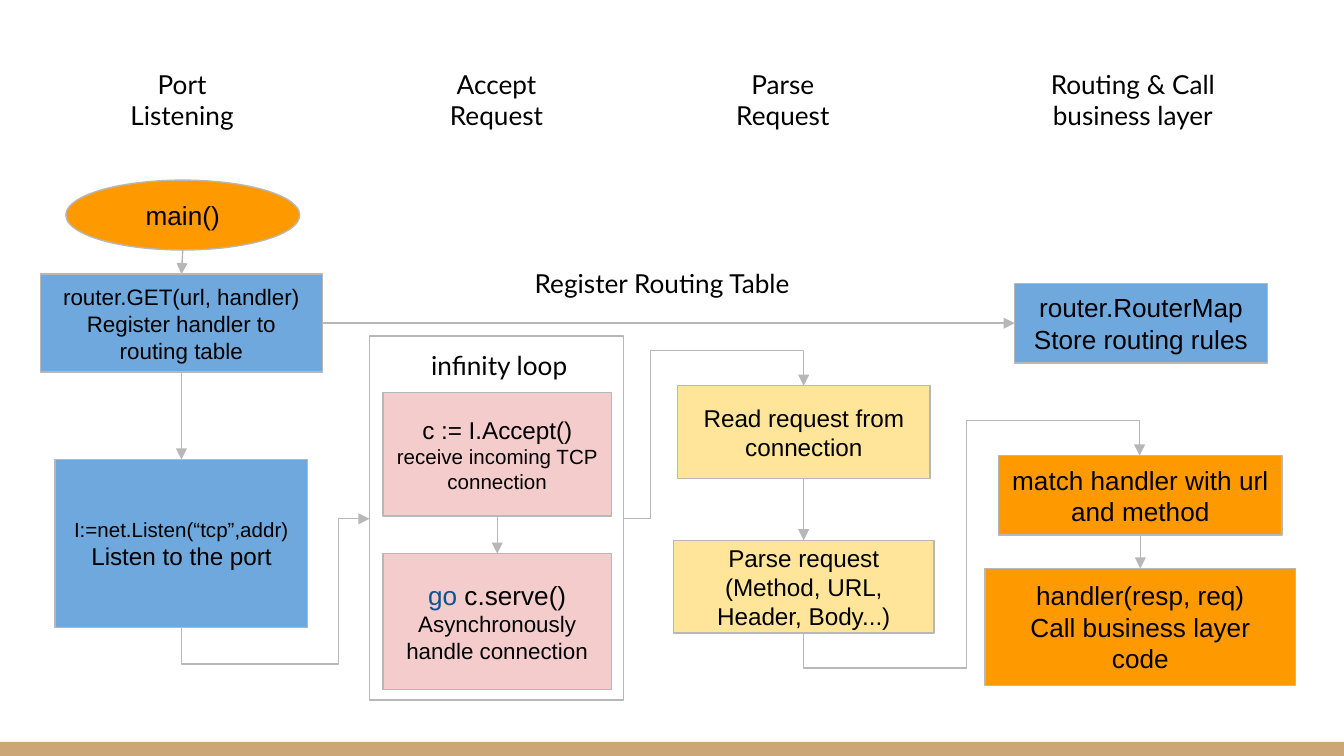
import pptx
import pptx.util
import pptx.dml.color
import pptx.enum.shapes
import pptx.enum.text
import pptx.oxml
import pptx.oxml.ns

Inches = pptx.util.Inches
Pt = pptx.util.Pt
SHAPE = pptx.enum.shapes.MSO_SHAPE
CONNECTOR = pptx.enum.shapes.MSO_CONNECTOR
ALIGN = pptx.enum.text.PP_ALIGN
ANCHOR = pptx.enum.text.MSO_ANCHOR

COLORS = {
    "line": "B7B7B7", "text": "000000", "keyword": "0B5394", "footer": "CCA677",
    "orange": "FF9900", "blue": "6FA8DC", "pink": "F4CCCC", "yellow": "FFE599",
}
TOP, LEFT, BOTTOM, RIGHT = range(4)


def rgb(name):
    return pptx.dml.color.RGBColor.from_string(COLORS[name])


def write(shape, paragraphs, font="Arial", align=ALIGN.CENTER):
    """Fill a shape; each paragraph is a list of (text, size, color) runs."""
    frame = shape.text_frame
    frame.word_wrap = True
    frame.margin_left = frame.margin_right = Inches(0.1)
    frame.margin_top = frame.margin_bottom = Inches(0.1)
    for index, runs in enumerate(paragraphs):
        paragraph = frame.paragraphs[0] if index == 0 else frame.add_paragraph()
        paragraph.alignment = align
        for text, size, color in runs:
            run = paragraph.add_run()
            run.text = text
            run.font.name = font
            run.font.size = Pt(size)
            run.font.color.rgb = rgb(color)


def line(text, size):
    return [(text, size, "text")]


def add_label(slide, left, top, width, height, *texts, align=ALIGN.CENTER):
    label = slide.shapes.add_textbox(*map(Inches, (left, top, width, height)))
    write(label, [line(text, 14) for text in texts], "Lato", align)
    label.text_frame.auto_size = pptx.enum.text.MSO_AUTO_SIZE.SHAPE_TO_FIT_TEXT


def add_step(slide, box, fill, *paragraphs, kind=SHAPE.RECTANGLE, outlined=True):
    step = slide.shapes.add_shape(kind, *map(Inches, box))
    step.shadow.inherit = False
    if fill:
        step.fill.solid()
        step.fill.fore_color.rgb = rgb(fill)
    else:
        step.fill.background()
    if outlined:
        step.line.color.rgb = rgb("line")
        step.line.width = Pt(0.75)
    else:
        step.line.fill.background()
    if paragraphs:
        write(step, paragraphs)
        step.text_frame.vertical_anchor = ANCHOR.MIDDLE
    return step


def add_arrow(slide, start, end, kind=CONNECTOR.STRAIGHT):
    arrow = slide.shapes.add_connector(kind, *map(Inches, (*start, *end)))
    arrow.line.color.rgb = rgb("line")
    arrow.line.width = Pt(0.75)
    tail = pptx.oxml.parse_xml(
        '<a:tailEnd %s type="triangle"/>' % pptx.oxml.ns.nsdecls("a"))
    arrow.line._get_or_add_ln().append(tail)
    effects = pptx.oxml.parse_xml('<a:effectLst %s/>' % pptx.oxml.ns.nsdecls("a"))
    arrow._element.spPr.append(effects)
    return arrow


def link(slide, source, target, source_side=BOTTOM, target_side=TOP):
    arrow = add_arrow(slide, (0, 0), (1, 1))
    arrow.begin_connect(source, source_side)
    arrow.end_connect(target, target_side)


def add_elbow(slide, start, end, lanes, leaves_down):
    """Bent arrow rising to the right; lanes are alternating y and x positions."""
    (x0, y0), (x1, y1) = start, end
    width, height = x1 - x0, y0 - y1
    elbow = add_arrow(slide, start, end, CONNECTOR.ELBOW)
    if leaves_down:
        xfrm = elbow._element.spPr.find(pptx.oxml.ns.qn("a:xfrm"))
        xfrm.attrib.pop("flipV")
        elbow.left = Inches((x0 + x1 - height) / 2)
        elbow.top = Inches((y0 + y1 - width) / 2)
        elbow.width, elbow.height = Inches(height), Inches(width)
        xfrm.set("rot", str(270 * 60000))
    geometry = elbow._element.spPr.find(pptx.oxml.ns.qn("a:prstGeom"))
    geometry.set("prst", "bentConnector%d" % (len(lanes) + 2))
    for child in list(geometry):
        geometry.remove(child)
    guides = ""
    for index, lane in enumerate(lanes):
        is_y = (index % 2 == 0) == leaves_down
        share = (y0 - lane) / height if is_y else (lane - x0) / width
        guides += '<a:gd name="adj%d" fmla="val %d"/>' % (index + 1, round(share * 100000))
    geometry.append(pptx.oxml.parse_xml(
        "<a:avLst %s>%s</a:avLst>" % (pptx.oxml.ns.nsdecls("a"), guides)))


def listening_column(slide, left, top):
    add_label(slide, left + 0.52, top, 1.07, 0.67, "Port", "Listening")
    add_step(slide, (left + 0.19, top + 0.93, 1.74, 0.52), "orange",
             line("main()", 14), kind=SHAPE.OVAL)
    register = add_step(slide, (left, top + 1.63, 2.1, 0.73), "blue",
                        line("router.GET(url, handler)", 12),
                        line("Register handler to routing table", 12))
    listen = add_step(slide, (left + 0.11, top + 3.01, 1.88, 1.25), "blue",
                      line("I:=net.Listen(“tcp”,addr)", 11),
                      line("Listen to the port", 13))
    start = add_arrow(slide, (left + 1.06, top + 1.45), (left + 1.05, top + 1.63))
    start.end_connect(register, TOP)
    link(slide, register, listen)
    return register


def accept_column(slide, left, top):
    add_label(slide, left + 0.41, top, 1.07, 0.67, "Accept Request")
    add_step(slide, (left, top + 2.09, 1.89, 2.71), None)
    add_label(slide, left + 0.36, top + 2.09, 1.25, 0.44, "infinity loop", align=ALIGN.LEFT)
    accept = add_step(slide, (left + 0.1, top + 2.51, 1.7, 0.92), "pink",
                      line("c := I.Accept()", 13),
                      line("receive incoming TCP connection", 11))
    serve = add_step(slide, (left + 0.1, top + 3.71, 1.7, 1.01), "pink",
                     [("go", 14, "keyword"), (" c.serve()", 14, "text")],
                     line("Asynchronously handle connection", 12))
    link(slide, accept, serve)


def parse_column(slide, left, top):
    add_label(slide, left + 0.28, top, 1.07, 0.67, "Parse Request")
    read = add_step(slide, (left + 0.03, top + 2.46, 1.88, 0.69), "yellow",
                    line("Read request from connection", 13))
    decode = add_step(slide, (left, top + 3.61, 1.94, 0.69), "yellow",
                      line("Parse request", 13),
                      line("(Method, URL, Header, Body...)", 13))
    link(slide, read, decode)


def routing_column(slide, left, top):
    add_label(slide, left + 0.23, top, 1.74, 0.67, "Routing & Call business layer")
    router_map = add_step(slide, (left + 0.22, top + 1.7, 1.88, 0.59), "blue",
                          line("router.RouterMap", 14), line("Store routing rules", 14))
    match = add_step(slide, (left + 0.1, top + 2.98, 2.11, 0.59), "orange",
                     line("match handler with url and method", 14))
    handler = add_step(slide, (left, top + 3.82, 2.31, 0.87), "orange",
                       line("handler(resp, req)", 14),
                       line("Call business layer code", 14))
    link(slide, match, handler)
    return router_map


def main():
    deck = pptx.Presentation()
    deck.slide_width, deck.slide_height = Inches(10), Inches(10 * 9 / 16)
    slide = deck.slides.add_slide(deck.slide_layouts[6])
    add_step(slide, (0, 5.52, 10, 0.11), "footer", outlined=False)

    top = 0.41
    register = listening_column(slide, 0.3, top)
    accept_column(slide, 2.75, top)
    parse_column(slide, 5.01, top)
    router_map = routing_column(slide, 7.33, top)

    link(slide, register, router_map, RIGHT, LEFT)
    add_label(slide, 3.88, 1.89, 2.18, 0.44, "Register Routing Table", align=ALIGN.LEFT)
    add_elbow(slide, (1.35, 4.67), (2.75, 3.86), (4.94, 2.52), leaves_down=True)
    add_elbow(slide, (4.64, 3.86), (5.98, 2.87), (4.84, 2.61), leaves_down=False)
    add_elbow(slide, (5.98, 4.71), (8.48, 3.39), (4.97, 7.19, 3.13), leaves_down=True)
    deck.save("out.pptx")


if __name__ == "__main__":
    main()
